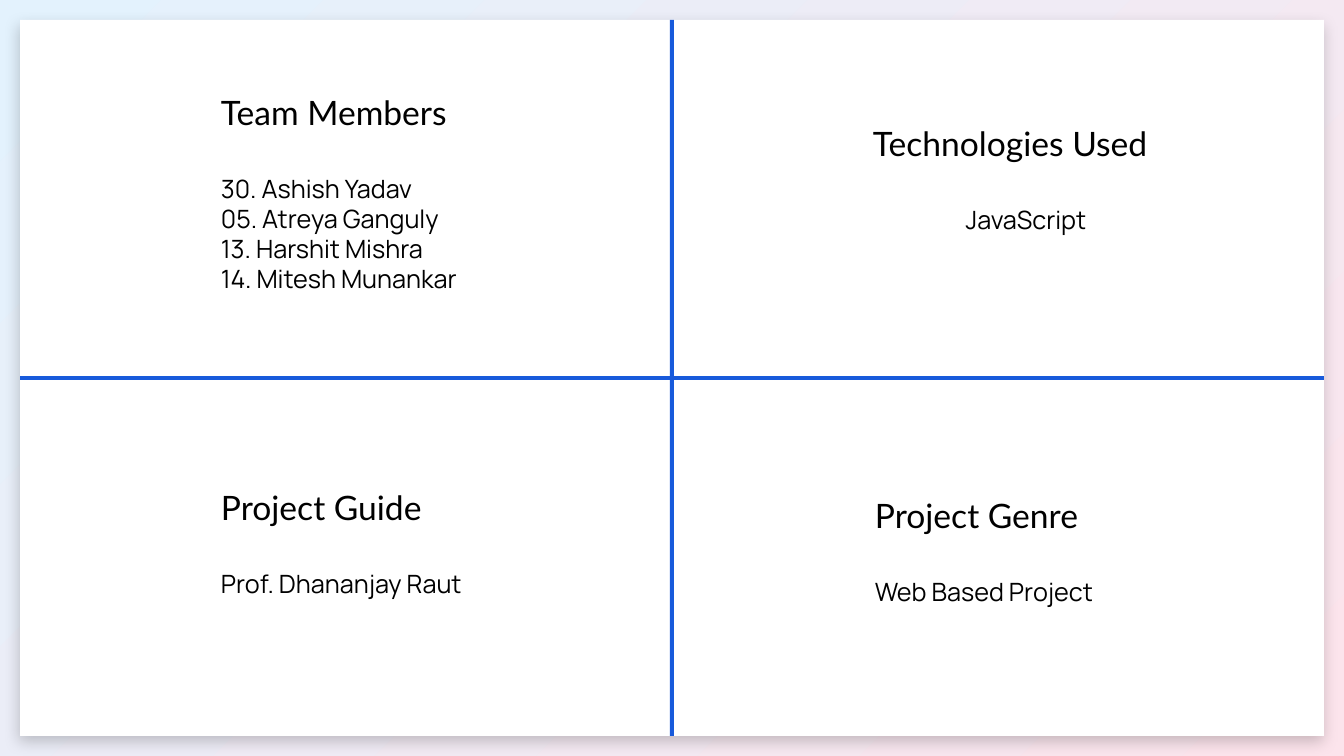
import lxml.etree
import pptx
import pptx.dml.color
import pptx.enum.shapes
import pptx.enum.text
import pptx.oxml
import pptx.oxml.ns
import pptx.util

PX = 914400 / 100.8
PAGE = (0, 0, 1344, 756)
MARGIN = 20
BAR = 4
COLORS = {
    "sky": "E3F2FD",
    "blush": "FCE4EC",
    "card": "FFFFFF",
    "divider": "185ADB",
    "text": "000000",
}
LEFT = pptx.enum.text.PP_ALIGN.LEFT
CENTER = pptx.enum.text.PP_ALIGN.CENTER
SECTIONS = [
    ((211, 87, 266, 214), "Team Members",
     ["30. Ashish Yadav", "05. Atreya Ganguly", "13. Harshit Mishra", "14. Mitesh Munankar"], LEFT),
    ((863, 118, 326, 122), "Technologies Used", ["JavaScript"], CENTER),
    ((211, 482, 288, 122), "Project Guide", ["Prof. Dhananjay Raut"], LEFT),
    ((865, 490, 266, 122), "Project Genre", ["Web Based Project"], LEFT),
]


def emu(box):
    return [pptx.util.Emu(round(length * PX)) for length in box]


def rgb(name):
    return pptx.dml.color.RGBColor.from_string(COLORS[name])


def add_rectangle(page, box, color):
    shape = page.shapes.add_shape(pptx.enum.shapes.MSO_SHAPE.RECTANGLE, *emu(box))
    shape.shadow.inherit = False
    shape.fill.solid()
    shape.fill.fore_color.rgb = rgb(color)
    shape.line.fill.background()
    return shape


def add_backdrop(page, box):
    fill = add_rectangle(page, box, "sky").fill
    fill.gradient()
    fill.gradient_angle = 315
    for stop, color, position in zip(fill.gradient_stops, ("sky", "blush"), (0, 1)):
        stop.color.rgb = rgb(color)
        stop.position = position


def add_drop_shadow(shape):
    effects = shape._element.spPr.find(pptx.oxml.ns.qn("a:effectLst"))
    effects.append(pptx.oxml.parse_xml(
        f'<a:outerShdw {pptx.oxml.ns.nsdecls("a")} blurRad="{pptx.util.Pt(10)}" '
        f'dist="{pptx.util.Pt(5)}" dir="5400000" algn="ctr" rotWithShape="0">'
        f'<a:srgbClr val="{COLORS["text"]}"><a:alpha val="20000"/></a:srgbClr></a:outerShdw>'))


def add_quartered_card(page, box):
    """Draw a white card split into four by two crossing bars."""
    left, top, width, height = box
    add_drop_shadow(add_rectangle(page, box, "card"))
    add_rectangle(page, (left + (width - BAR) / 2, top, BAR, height), "divider")
    add_rectangle(page, (left, top + (height - BAR) / 2, width, BAR), "divider")


def add_span(para, text, font, size):
    span = para.add_run()
    span.text = text
    span.font.name = font
    span.font.size = pptx.util.Pt(size)
    span.font.color.rgb = rgb("text")


def add_section(page, box, title, lines, alignment):
    frame = page.shapes.add_textbox(*emu(box)).text_frame
    frame.word_wrap = True
    heading = frame.paragraphs[0]
    heading.space_after = pptx.util.Pt(29)
    add_span(heading, title, "Lato", 24)
    for line in lines:
        para = frame.add_paragraph()
        para.alignment = alignment
        add_span(para, line, "Manrope", 18)


def main():
    deck = pptx.Presentation()
    deck.slide_width, deck.slide_height = emu(PAGE[2:])
    page = deck.slides.add_slide(deck.slide_layouts[6])
    add_backdrop(page, PAGE)
    add_quartered_card(page, (MARGIN, MARGIN, PAGE[2] - 2 * MARGIN, PAGE[3] - 2 * MARGIN))
    for section in SECTIONS:
        add_section(page, *section)
    deck.save("out.pptx")


if __name__ == "__main__":
    main()
